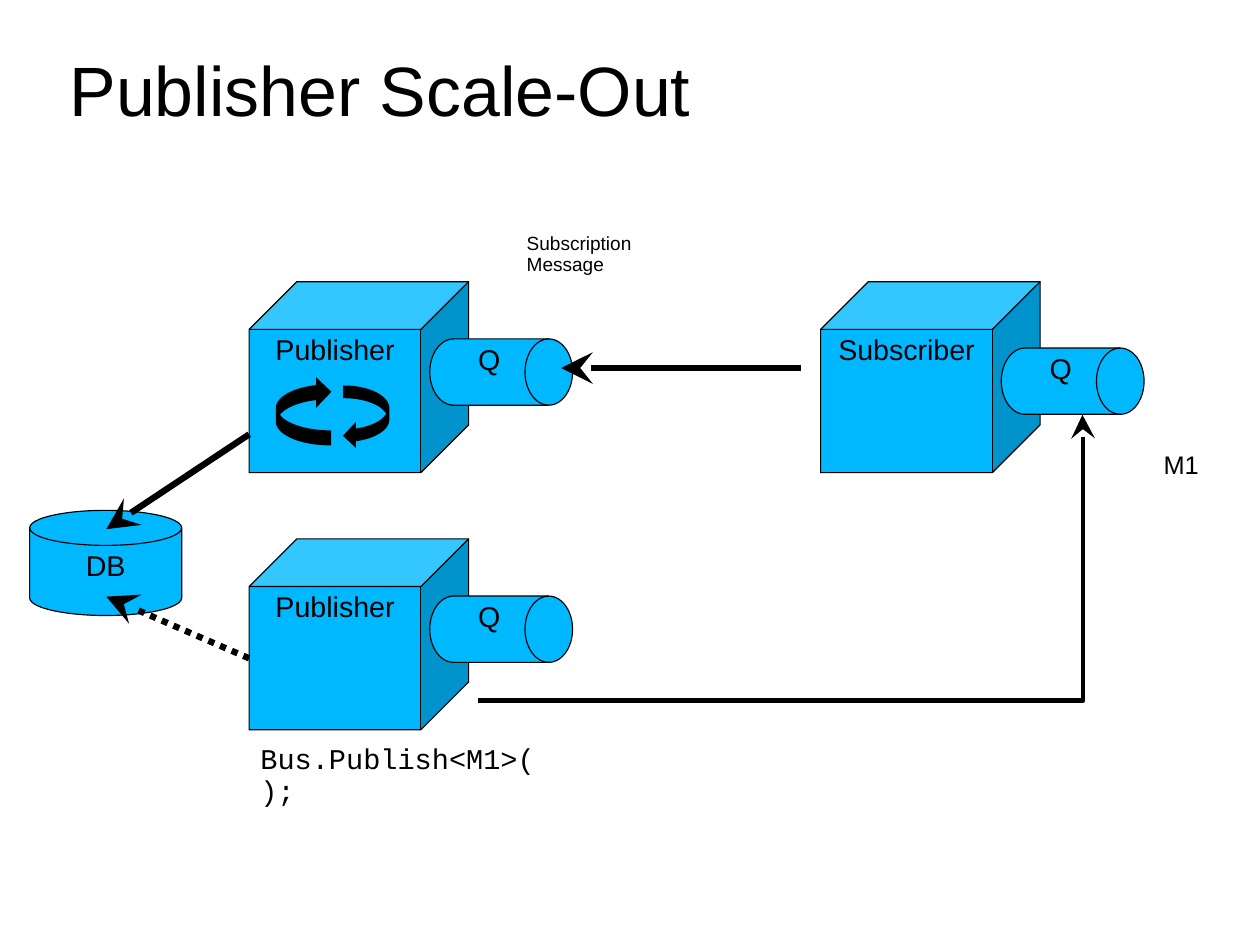
from dataclasses import dataclass

from lxml import etree
from pptx import Presentation
from pptx import util as u
from pptx.dml.color import RGBColor
from pptx.enum import dml, shapes, text
from pptx.oxml import ns

COLORS = {"ink": "000000", "box": "00B8FF", "back": "FFFFFF"}
CELL = 0.1  # inches per grid column and row
KIND = shapes.MSO_SHAPE
LEFT, MID = text.PP_ALIGN.LEFT, text.PP_ALIGN.CENTER
TOP = text.MSO_ANCHOR.TOP


@dataclass
class Area:
    col: float
    row: float
    wide: float
    high: float

    def emu(self) -> list[int]:
        return [grid(n) for n in (self.col, self.row, self.wide, self.high)]


@dataclass
class Label:
    words: str
    area: Area
    size: int
    font: str = "Arial"
    align: int = LEFT
    space: float = 0.93
    anchor: int = TOP


@dataclass
class Node:
    name: str
    col: float
    row: float
    drop: float  # rows from the top of the cube to its queue


@dataclass
class Arrow:
    start: tuple[float, float]
    end: tuple[float, float]
    width: float = 4
    dots: bool = False
    bent: bool = False


def grid(cells: float) -> int:
    return u.Inches(cells * CELL)


def color(key: str) -> RGBColor:
    return RGBColor.from_string(COLORS[key])


def write(frame, words: str, size: int, font: str, align: int,
          space: float, anchor: int = TOP) -> None:
    frame.word_wrap = True
    frame.vertical_anchor = anchor
    frame.text = words
    para = frame.paragraphs[0]
    para.alignment = align
    para.line_spacing = space
    run = para.runs[0].font
    run.name, run.size = font, u.Pt(size)
    run.color.rgb = color("ink")


def draw_label(page, label: Label) -> None:
    box = page.shapes.add_textbox(*label.area.emu())
    write(box.text_frame, label.words, label.size, label.font,
          label.align, label.space, label.anchor)


def draw_shape(host, kind: int, area: Area, words: str = "",
               fill: str = "box", width: float = 0.75):
    item = host.shapes.add_shape(kind, *area.emu())
    item.shadow.inherit = False
    item.fill.solid()
    item.fill.fore_color.rgb = color(fill)
    item.line.color.rgb = color("ink")
    item.line.width = u.Pt(width)
    edge = item._element.spPr.find(ns.qn("a:ln"))
    etree.SubElement(edge, ns.qn("a:miter"), lim="800000")
    if words:
        write(item.text_frame, words, 18, "Arial", MID, 0.93)
    return item


def draw_node(page, node: Node) -> None:
    group = page.shapes.add_group_shape()
    draw_shape(group, KIND.CUBE, Area(node.col, node.row, 19.2, 16.7), node.name)
    queue = Area(node.col + 15.8, node.row + node.drop, 12.5, 5.8)
    draw_shape(group, KIND.FLOWCHART_DIRECT_ACCESS_STORAGE, queue, "Q")


def draw_arrow(page, arrow: Arrow) -> None:
    kind = shapes.MSO_CONNECTOR.ELBOW if arrow.bent else shapes.MSO_CONNECTOR.STRAIGHT
    ends = [grid(n) for n in arrow.start + arrow.end]
    link = page.shapes.add_connector(kind, *ends)
    link.line.color.rgb = color("ink")
    link.line.width = u.Pt(arrow.width)
    props = link._element.spPr
    if arrow.dots:
        link.line.dash_style = dml.MSO_LINE.ROUND_DOT  # sysDot
    if arrow.bent:  # turn at the far end
        turns = props.find(ns.qn("a:prstGeom")).get_or_add_avLst()
        etree.SubElement(turns, ns.qn("a:gd"), name="adj1", fmla="val 100100")
    etree.SubElement(props.find(ns.qn("a:ln")), ns.qn("a:tailEnd"),
                     type="stealth", w="lg", len="lg")
    etree.SubElement(props, ns.qn("a:effectLst"))


LABELS = [
    Label("Publisher Scale-Out", Area(5.1, 4.1, 105.1, 7.9), 44,
          space=0.96, anchor=text.MSO_ANCHOR.MIDDLE),
    Label("Subscription Message", Area(45.1, 19.9, 12.5, 4.8), 12),
    Label("Bus.Publish<M1>();", Area(21.8, 64.6, 26.9, 3.8), 18, "Courier New"),
    Label("M1", Area(100.5, 39, 5.7, 2.7), 16, align=MID),
]
NODES = [
    Node("Subscriber", 71.8, 24.65, 5.8),
    Node("Publisher", 21.8, 24.65, 5),
    Node("Publisher", 21.8, 47.15, 5),
]
ARROWS = [
    Arrow((70.1, 32.2), (49.1, 32.2)),
    Arrow((21.8, 38), (9.3, 46.3)),
    Arrow((41.8, 61.3), (94.7, 36.3), width=3, bent=True),
    Arrow((21.8, 57.6), (9.3, 52.2), dots=True),
]


def main() -> None:
    deck = Presentation()
    deck.slide_width, deck.slide_height = u.Cm(28), u.Cm(21)
    page = deck.slides.add_slide(deck.slide_layouts[6])
    page.background.fill.solid()
    page.background.fill.fore_color.rgb = color("back")

    # Title and captions
    for label in LABELS:
        draw_label(page, label)

    # Services with their queues, and the store
    for node in NODES:
        draw_node(page, node)
    draw_shape(page, KIND.FLOWCHART_MAGNETIC_DISK, Area(2.6, 44.65, 13.3, 9.2), "DB")

    # Loop inside the first publisher
    draw_shape(page, KIND.CURVED_LEFT_ARROW, Area(30.1, 33.8, 3.9, 5.3),
               fill="ink", width=1)
    rise = draw_shape(page, KIND.CURVED_RIGHT_ARROW, Area(24.2, 33.1, 4.7, 5.8),
                      fill="ink", width=1)
    rise._element.spPr.find(ns.qn("a:xfrm")).set("flipV", "1")

    # Message flow
    for arrow in ARROWS:
        draw_arrow(page, arrow)

    deck.save("out.pptx")


if __name__ == "__main__":
    main()
